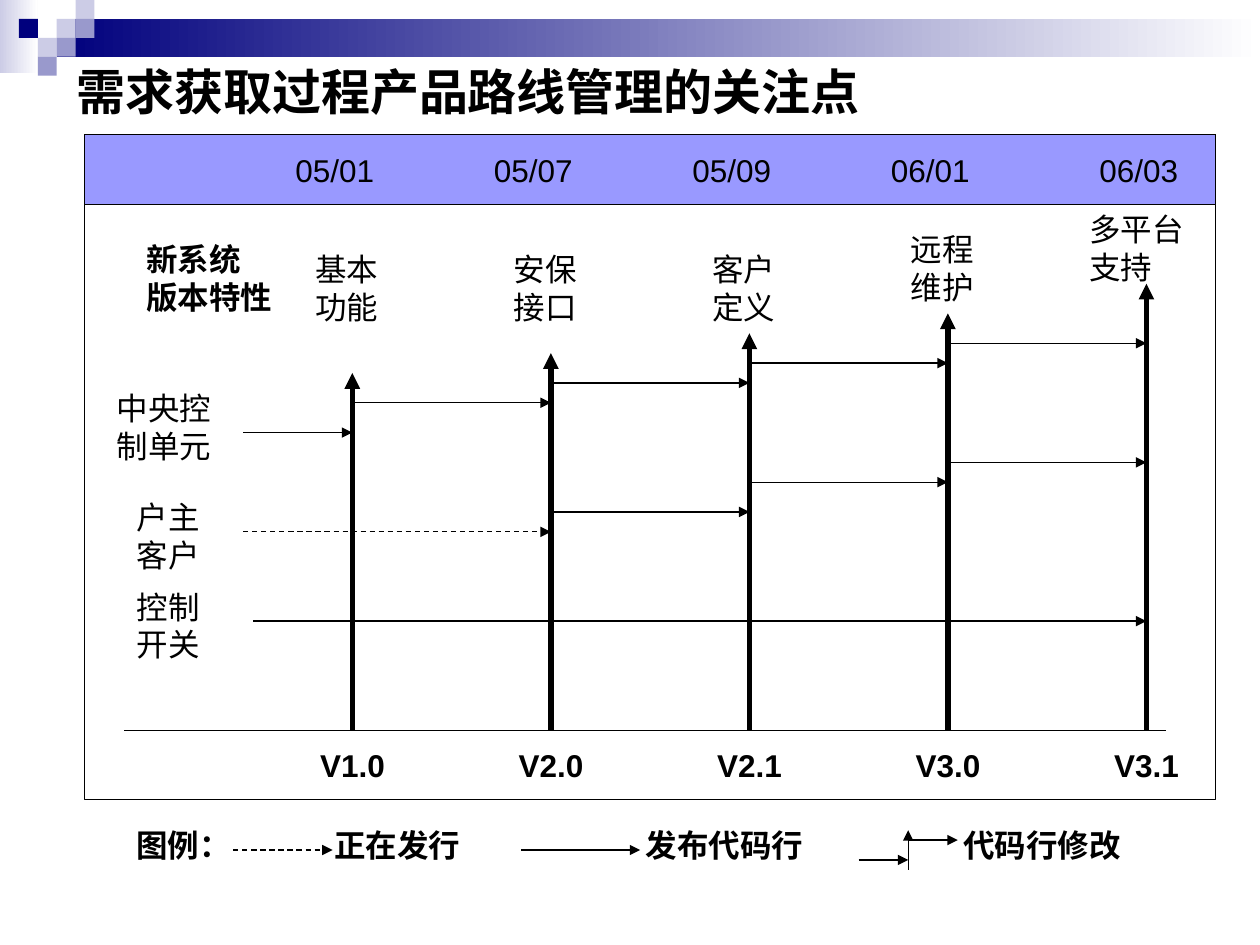
from dataclasses import dataclass

import pptx
import pptx.dml.color
import pptx.enum.dml
import pptx.enum.shapes
import pptx.enum.text
import pptx.oxml.ns
import pptx.util
from lxml import etree

COLORS = {
    "ink": "000000",
    "paper": "FFFFFF",
    "navy": "00007D",
    "lilac": "CCCCE6",
    "violet": "9999CC",
    "header": "9999FF",
}
LATIN, CJK = "Arial", "Noto Sans CJK SC"
WIDTH, HEIGHT = 10, 7.5
LINE_ROWS, WRAPPED_ROWS = 5, 9

FIRST_RELEASE, RELEASE_STEP = 27, 20
AXIS_ROW = 60
RELEASES = [
    ("05/01", "V1.0", "基本功能", 24),
    ("05/07", "V2.0", "安保接口", 22),
    ("05/09", "V2.1", "客户定义", 20),
    ("06/01", "V3.0", "远程维护", 18),
    ("06/03", "V3.1", "多平台支持", 15),
]
DATE_COLS = [20, 40, 60, 80, 101]
FEATURE_SPOTS = [(22, 11, 9), (42, 11, 9), (62, 11, 9), (82, 9, 9), (100, 7, 14)]
COMPONENTS = [("中央控制单元", 2, 25, 14), ("户主客户", 4, 36, 12), ("控制开关", 4, 45, 12)]
CODE_LINES = [
    (27, 47, 27), (47, 67, 25), (67, 87, 23), (87, 107, 21),
    (67, 87, 35), (87, 107, 33), (47, 67, 38),
    (17, 107, 49), (16, 27, 30),
]


@dataclass
class Grid:
    left: float
    top: float
    cell_width: float
    cell_height: float

    def x(self, col):
        return pptx.util.Inches(self.left + col * self.cell_width)

    def y(self, row):
        return pptx.util.Inches(self.top + row * self.cell_height)

    def box(self, col, row, cols, rows):
        return (self.x(col), self.y(row),
                pptx.util.Inches(cols * self.cell_width),
                pptx.util.Inches(rows * self.cell_height))


def rgb(name):
    return pptx.dml.color.RGBColor.from_string(COLORS[name])


def add_text(slide, box, text, size=18, bold=False, font=LATIN, align="LEFT"):
    frame = slide.shapes.add_textbox(*box).text_frame
    frame.word_wrap = True
    paragraph = frame.paragraphs[0]
    paragraph.alignment = getattr(pptx.enum.text.PP_ALIGN, align)
    for index, piece in enumerate(text.split("\n")):
        if index:
            paragraph.add_line_break()
        run = paragraph.add_run()
        run.text = piece
        run.font.size = pptx.util.Pt(size)
        run.font.bold = bold
        run.font.name = font
        run.font.color.rgb = rgb("ink")
        east_asian = etree.SubElement(run.font._element, pptx.oxml.ns.qn("a:ea"))
        east_asian.set("typeface", CJK)


def add_rect(slide, box, fill=None, fade=False, outlined=False):
    rect = slide.shapes.add_shape(pptx.enum.shapes.MSO_SHAPE.RECTANGLE, *box)
    rect.shadow.inherit = False
    if fade:
        rect.fill.gradient()
        rect.fill.gradient_angle = 0
        for stop, color in zip(rect.fill.gradient_stops, (fill, "paper")):
            stop.color.rgb = rgb(color)
    elif fill:
        rect.fill.solid()
        rect.fill.fore_color.rgb = rgb(fill)
    else:
        rect.fill.background()
    if outlined:
        rect.line.color.rgb = rgb("ink")
        rect.line.width = pptx.util.Pt(0.75)
    else:
        rect.line.fill.background()


def add_line(slide, grid, start, end, width=0.75, arrow="tailEnd", dashed=False):
    line = slide.shapes.add_connector(
        pptx.enum.shapes.MSO_CONNECTOR.STRAIGHT,
        grid.x(start[0]), grid.y(start[1]), grid.x(end[0]), grid.y(end[1]))
    line.line.color.rgb = rgb("ink")
    line.line.width = pptx.util.Pt(width)
    if dashed:
        line.line.dash_style = pptx.enum.dml.MSO_LINE.DASH
    properties = line._element.spPr
    if arrow:
        outline = properties.find(pptx.oxml.ns.qn("a:ln"))
        etree.SubElement(outline, pptx.oxml.ns.qn(f"a:{arrow}")).set("type", "triangle")
    etree.SubElement(properties, pptx.oxml.ns.qn("a:effectLst"))


def draw_banner(slide, grid):
    add_rect(slide, grid.box(0, 0, 2, 3.87), "lilac", fade=True)
    add_rect(slide, grid.box(3, 1, WIDTH / grid.cell_width - 3, 2), "navy", fade=True)
    tiles = {
        "lilac": [(3, 1), (4, 0), (2, 2)],
        "violet": [(4, 1), (3, 2), (2, 3)],
        "navy": [(1, 1)],
    }
    for color, spots in tiles.items():
        for col, row in spots:
            add_rect(slide, grid.box(col, row, 1, 1), color)


def draw_roadmap(slide, grid):
    add_rect(slide, grid.box(0, 0, 114, 67), outlined=True)
    add_rect(slide, grid.box(0, 0, 114, 7), "header", outlined=True)
    for index, (date, version, feature, top) in enumerate(RELEASES):
        col = FIRST_RELEASE + index * RELEASE_STEP
        add_line(slide, grid, (col, top), (col, AXIS_ROW), width=3, arrow="headEnd")
        add_text(slide, grid.box(col - 5, AXIS_ROW + 1, 10, LINE_ROWS), version,
                 bold=True, align="CENTER")
        add_text(slide, grid.box(DATE_COLS[index], 1, 12, LINE_ROWS), date)
        feature_col, feature_row, cols = FEATURE_SPOTS[index]
        add_text(slide, grid.box(feature_col, feature_row, cols, WRAPPED_ROWS), feature)
    add_line(slide, grid, (4, AXIS_ROW), (109, AXIS_ROW), arrow=None)
    for start, end, row in CODE_LINES:
        add_line(slide, grid, (start, row), (end, row))
    add_line(slide, grid, (16, 40), (47, 40), dashed=True)
    add_text(slide, grid.box(5, 10, 18, WRAPPED_ROWS), "新系统\n版本特性", bold=True)
    for component, col, row, cols in COMPONENTS:
        add_text(slide, grid.box(col, row, cols, WRAPPED_ROWS), component)


def draw_legend(slide, grid):
    entries = [("图例：", 3, 14), ("正在发行", 23, 17), ("发布代码行", 55, 19), ("代码行修改", 87, 19)]
    for label, col, cols in entries:
        add_text(slide, grid.box(col, 0, cols, LINE_ROWS), label, bold=True, align="CENTER")
    add_line(slide, grid, (15, 3), (25, 3), dashed=True)
    add_line(slide, grid, (44, 3), (56, 3))
    add_line(slide, grid, (78, 4), (83, 4))
    add_line(slide, grid, (83, 1), (83, 5), arrow="headEnd")
    add_line(slide, grid, (83, 2), (88, 2))


def main():
    deck = pptx.Presentation()
    deck.slide_width = pptx.util.Inches(WIDTH)
    deck.slide_height = pptx.util.Inches(HEIGHT)
    slide = deck.slides.add_slide(deck.slide_layouts[6])
    cell = 8.98 / 114
    draw_banner(slide, Grid(0, 0, 0.15, 0.15))
    add_text(slide, Grid(0.51, 0.44, 1, 1).box(0, 0, 8.36, 0.57),
             "需求获取过程产品路线管理的关注点", size=28, bold=True, font=CJK)
    draw_roadmap(slide, Grid(0.67, 1.07, cell, cell))
    draw_legend(slide, Grid(0.67, 6.51, cell, cell))
    deck.save("out.pptx")


if __name__ == "__main__":
    main()
